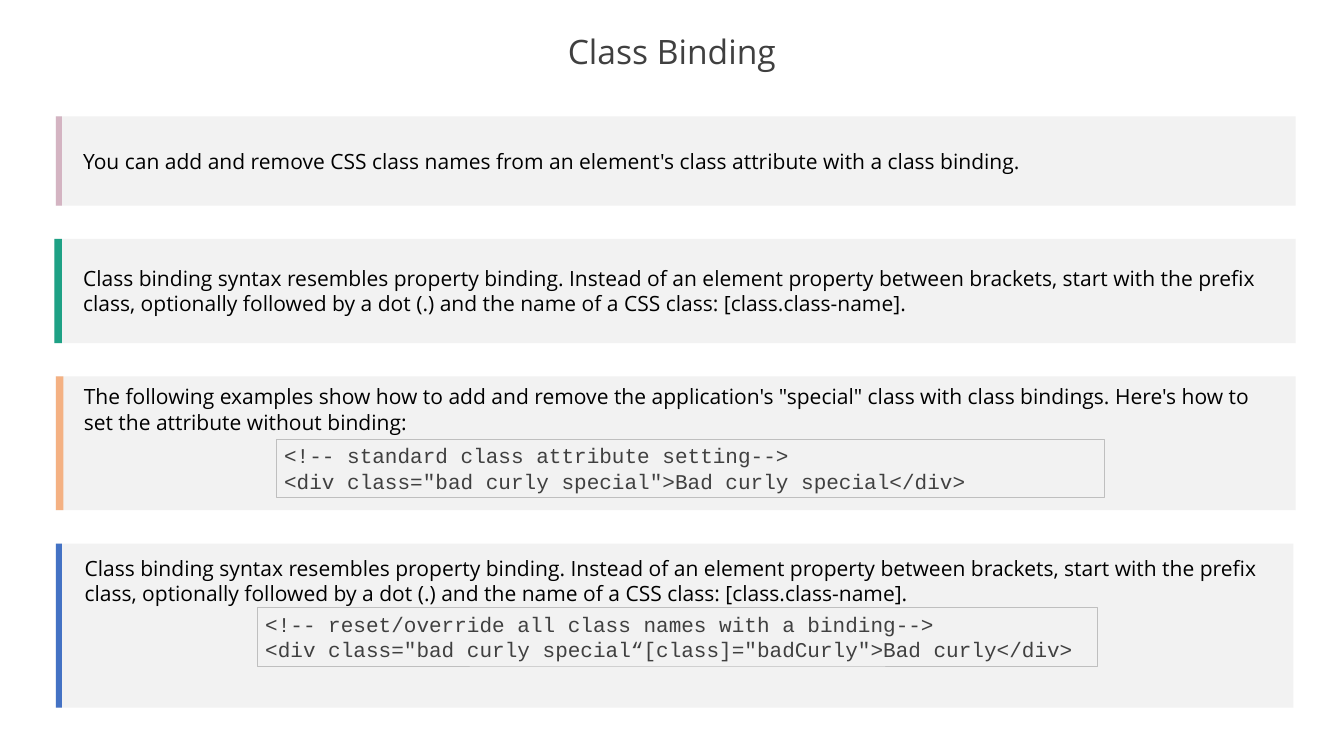
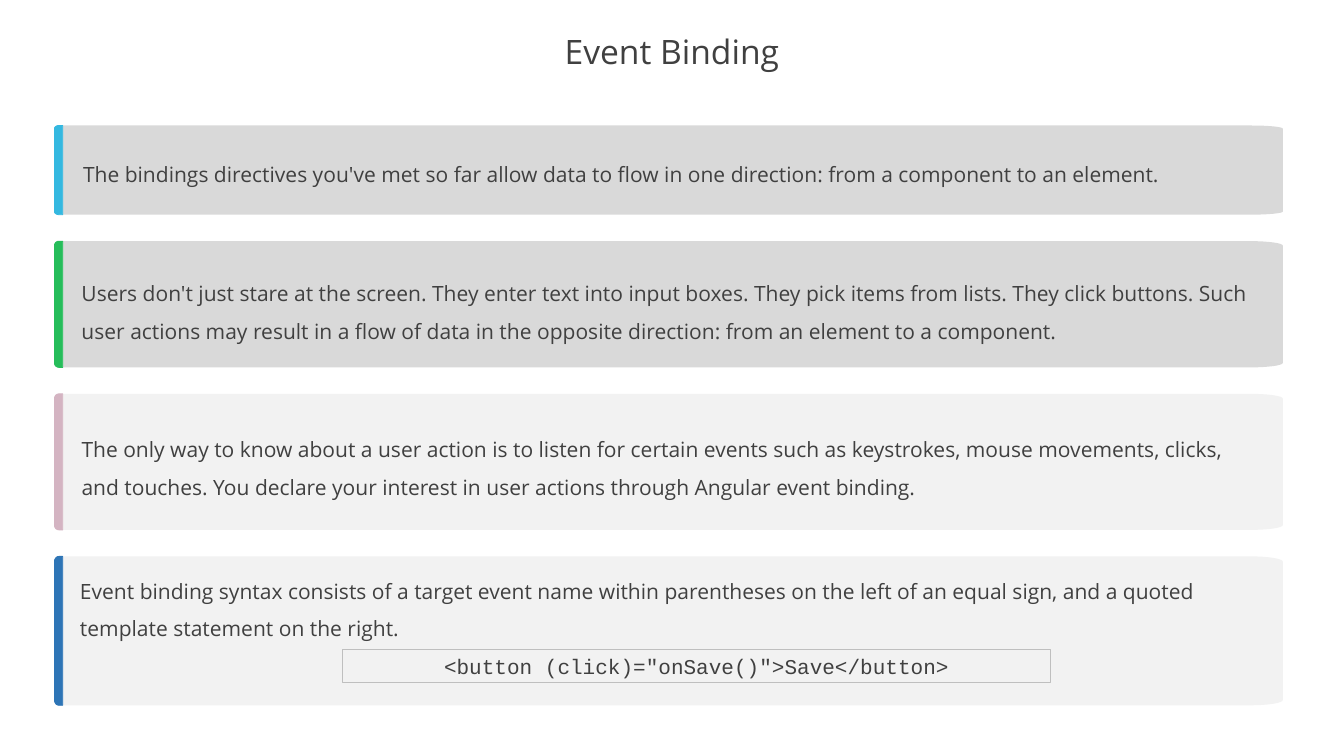
from math import cos, pi, sin

from pptx import Presentation
from pptx.dml.color import RGBColor
from pptx.enum.shapes import MSO_SHAPE
from pptx.enum.text import MSO_ANCHOR, PP_ALIGN
from pptx.util import Inches, Pt

WIDTH, HEIGHT = 17.78, 10
DARK, BLACK = "404040", "000000"
PALE, GREY, BORDER = "F2F2F2", "D9D9D9", "BFBFBF"
PINK = "D4B4C2"
TITLE = {"name": "Open Sans", "size": Pt(32)}
BODY = {"name": "Open Sans", "size": Pt(20)}
CODE = {"name": "Courier New", "size": Pt(20)}

# Text is (left, drop below the panel's top, width, height); code likewise.
CLASS_BINDING = {
    "title": "Class Binding", "top": 1.54, "gap": 0.44, "rounded": False,
    "text_color": BLACK, "spacing": 1.0, "code_align": PP_ALIGN.LEFT,
    "panels": [
        {"left": 0.74, "right": 17.14, "height": 1.18, "bar": 0.08,
         "fill": PALE, "accent": PINK, "text_at": (1, 0.37, 15.82, 0.44),
         "text": "You can add and remove CSS class names from an element's "
                 "class attribute with a class binding."},
        {"left": 0.72, "right": 17.14, "height": 1.38, "bar": 0.1,
         "fill": PALE, "accent": "1EA185", "text_at": (1, 0.3, 16.02, 0.77),
         "text": "Class binding syntax resembles property binding. Instead of "
                 "an element property between brackets, start with the prefix "
                 "class, optionally followed by a dot (.) and the name of a "
                 "CSS class: [class.class-name]."},
        {"left": 0.74, "right": 17.14, "height": 1.77, "bar": 0.1,
         "fill": PALE, "accent": "F4B183", "text_at": (1.01, 0.05, 16.02, 0.87),
         "text": "The following examples show how to add and remove the "
                 "application's \"special\" class with class bindings. Here's "
                 "how to set the attribute without binding:",
         "code_at": (3.66, 0.83, 10.95, 0.77),
         "code": ["<!-- standard class attribute setting-->",
                  '<div class="bad curly special">Bad curly special</div>']},
        {"left": 0.74, "right": 17.11, "height": 2.17, "bar": 0.08,
         "fill": PALE, "accent": "4472C4", "text_at": (1.02, 0.11, 15.8, 0.77),
         "text": "Class binding syntax resembles property binding. Instead of "
                 "an element property between brackets, start with the prefix "
                 "class, optionally followed by a dot (.) and the name of a "
                 "CSS class: [class.class-name].",
         "code_at": (3.41, 0.85, 11.11, 0.77),
         "code": ["<!-- reset/override all class names with a binding-->",
                  '<div class="bad curly special“[class]="badCurly">'
                  'Bad curly</div>']},
    ],
}
EVENT_BINDING = {
    "title": "Event Binding", "top": 1.66, "gap": 0.35, "rounded": True,
    "text_color": DARK, "spacing": 1.5, "code_align": PP_ALIGN.CENTER,
    "panels": [
        {"left": 0.72, "right": 16.97, "height": 1.18, "bar": 0.11,
         "fill": GREY, "accent": "34B8E0", "text_at": (1, 0.26, 15.62, 0.61),
         "text": "The bindings directives you've met so far allow data to flow "
                 "in one direction: from a component to an element."},
        {"left": 0.72, "right": 16.97, "height": 1.67, "bar": 0.11,
         "fill": GREY, "accent": "26BD5A", "text_at": (0.98, 0.31, 15.86, 1.11),
         "text": "Users don't just stare at the screen. They enter text into "
                 "input boxes. They pick items from lists. They click buttons. "
                 "Such user actions may result in a flow of data in the "
                 "opposite direction: from an element to a component."},
        {"left": 0.72, "right": 16.97, "height": 1.8, "bar": 0.11,
         "fill": PALE, "accent": PINK, "text_at": (0.98, 0.35, 15.62, 1.11),
         "text": "The only way to know about a user action is to listen for "
                 "certain events such as keystrokes, mouse movements, clicks, "
                 "and touches. You declare your interest in user actions "
                 "through Angular event binding."},
        {"left": 0.72, "right": 16.97, "height": 1.97, "bar": 0.11,
         "fill": PALE, "accent": "2E75B6", "text_at": (0.96, 0.07, 15.72, 1.11),
         "text": "Event binding syntax consists of a target event name within "
                 "parentheses on the left of an equal sign, and a quoted "
                 "template statement on the right.",
         "code_at": (4.53, 1.23, 9.37, 0.44),
         "code": ['<button (click)="onSave()">Save</button>']},
    ],
}


def color(value):
    return RGBColor.from_string(value)


def paint(shape, fill, line=None):
    shape.shadow.inherit = False
    shape.fill.solid()
    shape.fill.fore_color.rgb = color(fill)
    if line:
        shape.line.color.rgb = color(line)
        shape.line.width = Pt(0.75)
    else:
        shape.line.fill.background()


def write(shape, lines, font, ink, align=PP_ALIGN.LEFT, spacing=1.0,
          anchor=MSO_ANCHOR.TOP):
    frame = shape.text_frame
    frame.word_wrap = True
    frame.vertical_anchor = anchor
    for index, line in enumerate(lines):
        para = frame.add_paragraph() if index else frame.paragraphs[0]
        para.alignment = align
        para.line_spacing = spacing
        span = para.add_run()
        span.text = line
        for name, value in font.items():
            setattr(span.font, name, value)
        span.font.color.rgb = color(ink)


def add_text(page, at, *args, **options):
    box = page.shapes.add_textbox(*map(Inches, at))
    write(box, *args, **options)


def add_rectangle(page, at, fill, line=None):
    box = page.shapes.add_shape(MSO_SHAPE.RECTANGLE, *map(Inches, at))
    paint(box, fill, line)
    return box


def add_rounded_end(page, flat, end, top, height, radius, fill, line=None):
    """Draw a band from a straight edge to an end with elliptical corners."""
    reach = radius if end > flat else -radius
    rise = 0.035 * height
    turns = [step * pi / 16 for step in range(9)]
    upper = [(end - reach + reach * sin(turn), rise - rise * cos(turn))
             for turn in turns]
    lower = [(x, height - y) for x, y in reversed(upper)]
    points = [(Inches(x), Inches(top + y))
              for x, y in upper + lower + [(flat, height)]]
    builder = page.shapes.build_freeform(Inches(flat), Inches(top))
    builder.add_line_segments(points, close=True)
    paint(builder.convert_to_shape(), fill, line)


def add_panel(page, panel, top, topic):
    left, right, height = panel["left"], panel["right"], panel["height"]
    bar, fill, accent = panel["bar"], panel["fill"], panel["accent"]
    if topic["rounded"]:
        edge = left + bar
        add_rounded_end(page, edge, right, top, height, 0.43, fill)
        add_rounded_end(page, edge, left, top, height, 0.06, accent, accent)
    else:
        add_rectangle(page, (left, top, right - left, height), fill)
        add_rectangle(page, (left, top, bar, height), accent)

    x, drop, *size = panel["text_at"]
    add_text(page, (x, top + drop, *size), [panel["text"]], BODY,
             topic["text_color"], spacing=topic["spacing"])
    if "code" in panel:
        x, drop, *size = panel["code_at"]
        box = add_rectangle(page, (x, top + drop, *size), PALE, BORDER)
        write(box, panel["code"], CODE, DARK, topic["code_align"])


def add_topic(deck, topic):
    page = deck.slides.add_slide(deck.slide_layouts[6])
    top = topic["top"]
    for panel in topic["panels"]:
        add_panel(page, panel, top, topic)
        top += panel["height"] + topic["gap"]
    add_text(page, (0, 0.35, WIDTH, 0.73), [topic["title"]], TITLE, DARK,
             align=PP_ALIGN.CENTER, spacing=0.9, anchor=MSO_ANCHOR.MIDDLE)


def main():
    deck = Presentation()
    deck.slide_width, deck.slide_height = Inches(WIDTH), Inches(HEIGHT)
    for topic in (CLASS_BINDING, EVENT_BINDING):
        add_topic(deck, topic)
    deck.save("out.pptx")


if __name__ == "__main__":
    main()
